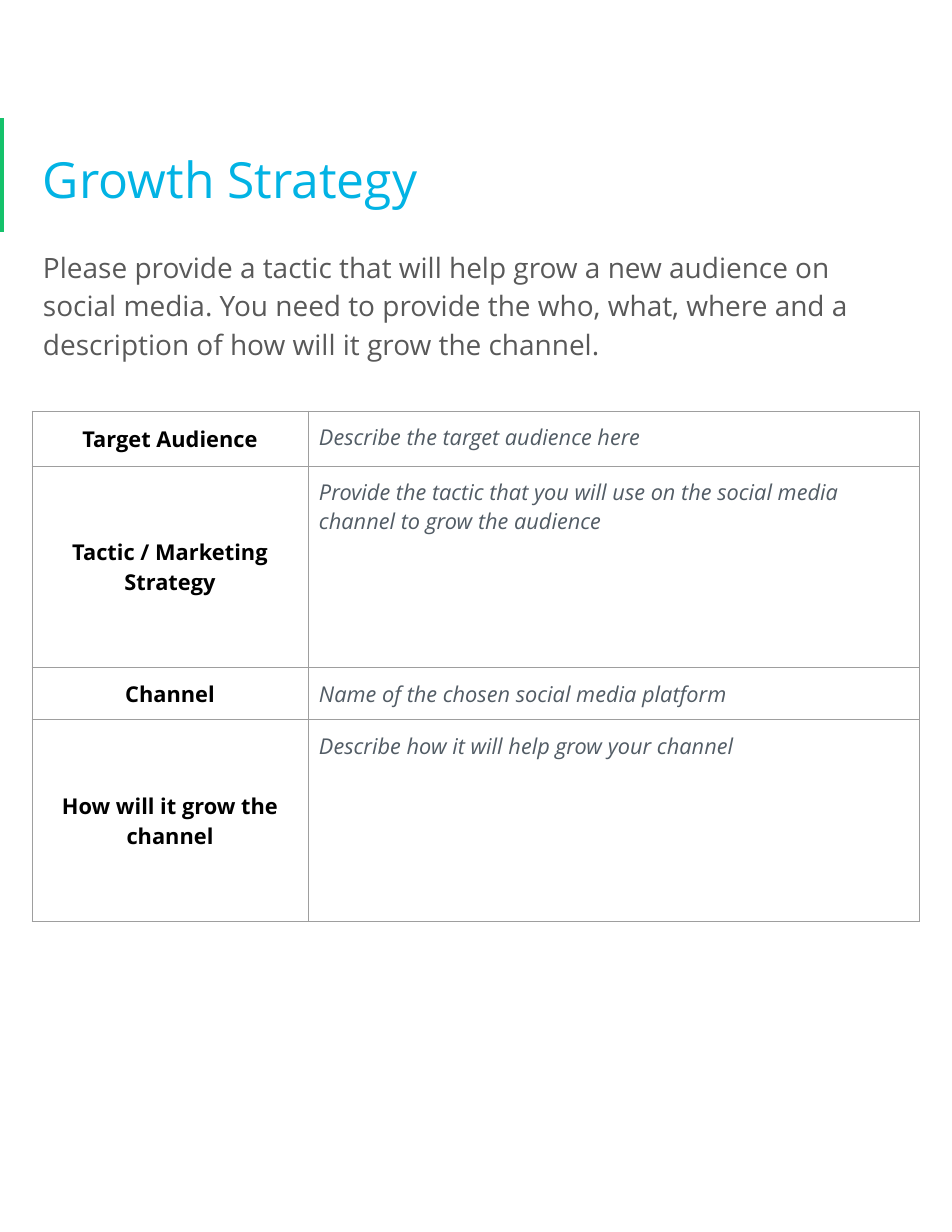
import lxml.etree
import pptx
import pptx.dml.color
import pptx.enum.shapes
import pptx.enum.text
import pptx.oxml.ns
import pptx.util

EMU_PER_PX = 914400 // 112
ANCHOR = pptx.enum.text.MSO_ANCHOR
ALIGN = pptx.enum.text.PP_ALIGN


def px(length):
    return pptx.util.Emu(length * EMU_PER_PX)


def color(value):
    return pptx.dml.color.RGBColor.from_string(value)


def add_element(parent, tag, **attributes):
    return lxml.etree.SubElement(parent, pptx.oxml.ns.qn(tag), attributes)


class Worksheet:
    font_name = "Open Sans"
    inset = 11
    accent = "15C26B"
    title_color = "02B3E4"
    body_color = "595959"
    label_color = "000000"
    hint_color = "525C65"
    border_color = "9E9E9E"

    def __init__(self, presentation):
        self.slide = presentation.slides.add_slide(presentation.slide_layouts[1])

    def format_paragraph(self, paragraph, size, value, bold=False, italic=False):
        font = paragraph.font
        font.name = self.font_name
        font.size = pptx.util.Pt(size)
        font.color.rgb = color(value)
        font.bold = bold
        font.italic = italic

    def set_margins(self, target):
        target.margin_left = target.margin_right = px(self.inset)
        target.margin_top = target.margin_bottom = px(self.inset)

    def bar(self, left, top, width, height):
        shape = self.slide.shapes.add_shape(
            pptx.enum.shapes.MSO_SHAPE.RECTANGLE,
            px(left), px(top), px(width), px(height))
        shape.shadow.inherit = False
        shape.fill.solid()
        shape.fill.fore_color.rgb = color(self.accent)
        shape.line.fill.background()

    def placeholder(self, index, text, box, size, value, anchor, space_after=0):
        shape = self.slide.placeholders[index]
        shape.left, shape.top, shape.width, shape.height = map(px, box)
        frame = shape.text_frame
        frame.text = text
        frame.word_wrap = True
        frame.auto_size = pptx.enum.text.MSO_AUTO_SIZE.NONE
        frame.vertical_anchor = anchor
        self.set_margins(frame)
        paragraph = frame.paragraphs[0]
        properties = paragraph._p.get_or_add_pPr()
        properties.set("marL", "0")
        properties.set("indent", "0")
        add_element(properties, "a:buNone")
        paragraph.alignment = ALIGN.LEFT
        paragraph.line_spacing = 1.15
        paragraph.space_before = pptx.util.Pt(0)
        paragraph.space_after = pptx.util.Pt(space_after)
        self.format_paragraph(paragraph, size, value)

    def cell(self, cell, text, is_label):
        cell.text = text
        cell.vertical_anchor = ANCHOR.MIDDLE if is_label else ANCHOR.TOP
        self.set_margins(cell)
        paragraph = cell.text_frame.paragraphs[0]
        paragraph.alignment = ALIGN.CENTER if is_label else ALIGN.LEFT
        value = self.label_color if is_label else self.hint_color
        self.format_paragraph(paragraph, 14, value, is_label, not is_label)
        properties = cell._tc.get_or_add_tcPr()
        for side in ("a:lnL", "a:lnR", "a:lnT", "a:lnB"):
            line = add_element(properties, side, w=str(pptx.util.Pt(0.75)))
            fill = add_element(line, "a:solidFill")
            add_element(fill, "a:srgbClr", val=self.border_color)
        cell.fill.background()

    def table(self, left, top, widths, heights, rows):
        table = self.slide.shapes.add_table(
            len(rows), len(widths), px(left), px(top),
            px(sum(widths)), px(sum(heights))).table
        table.first_row = False
        table.horz_banding = False
        for column, width in zip(table.columns, widths):
            column.width = px(width)
        for row, height, texts in zip(table.rows, heights, rows):
            row.height = px(height)
            for index, text in enumerate(texts):
                self.cell(row.cells[index], text, index == 0)


def main():
    presentation = pptx.Presentation()
    presentation.slide_width = px(952)
    presentation.slide_height = px(1232)
    worksheet = Worksheet(presentation)
    worksheet.bar(0, 118, 4, 114)
    worksheet.placeholder(
        0, "Growth Strategy", (32, 106, 887, 137), 32,
        worksheet.title_color, ANCHOR.MIDDLE)
    worksheet.placeholder(
        1, "Please provide a tactic that will help grow a new audience on "
        "social media. You need to provide the who, what, where and a "
        "description of how will it grow the channel.",
        (32, 234, 887, 224), 18, worksheet.body_color, ANCHOR.TOP, 16)
    worksheet.table(32, 411, (276, 611), (55, 202, 52, 202), (
        ("Target Audience", "Describe the target audience here"),
        ("Tactic / Marketing Strategy",
         "Provide the tactic that you will use on the social media "
         "channel to grow the audience"),
        ("Channel", "Name of the chosen social media platform"),
        ("How will it grow the channel",
         "Describe how it will help grow your channel"),
    ))
    presentation.save("out.pptx")


if __name__ == "__main__":
    main()
